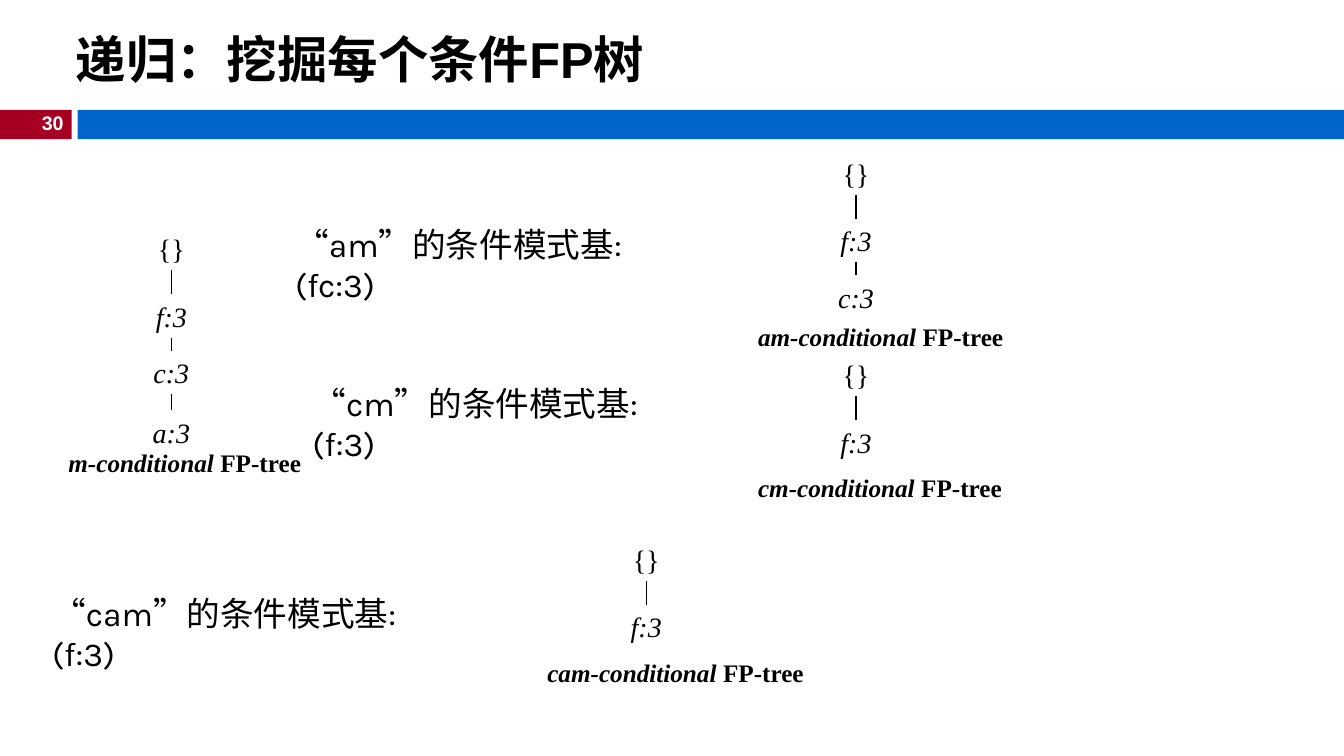
from dataclasses import dataclass

from pptx import Presentation
from pptx.dml.color import RGBColor
from pptx.enum.shapes import MSO_CONNECTOR as CONN, MSO_SHAPE as SHAPE
from pptx.enum.text import MSO_ANCHOR as ANCHOR, PP_ALIGN as ALIGN
from pptx.oxml import parse_xml
from pptx.oxml.ns import nsdecls
from pptx.util import Inches, Pt


@dataclass(frozen=True)
class Theme:
    black: RGBColor = RGBColor(0, 0, 0)
    white: RGBColor = RGBColor(255, 255, 255)
    red: RGBColor = RGBColor(0xA5, 0x00, 0x21)
    blue: RGBColor = RGBColor(0x00, 0x66, 0xCC)
    head_font: str = "Arial"
    tree_font: str = "Times New Roman"
    base_font: str = "Karla"
    title: int = 36
    base: int = 24
    node: int = 20
    caption: int = 18
    number: int = 14


T = Theme()
NODE_H = 0.43
NODE_W = 0.57
NODE_TOPS = (0, 0.67, 1.23, 1.82)


def style(r, font, size, color=T.black, bold=False, italic=False):
    f = r.font
    f.name, f.size, f.bold, f.italic = font, Pt(size), bold, italic
    f.color.rgb = color


def add_text(s, x, y, w, h, text, wrap=False, align=ALIGN.LEFT):
    """Place a one-paragraph text box and return the paragraph."""
    tf = s.shapes.add_textbox(Inches(x), Inches(y), Inches(w), Inches(h)).text_frame
    tf.word_wrap = wrap
    p = tf.paragraphs[0]
    p.text = text
    p.alignment = align
    return p


def add_header(s, title, number):
    # Title
    ph = s.shapes.title
    ph.left, ph.top, ph.width, ph.height = map(Inches, (0.65, 0.11, 9.54, 0.94))
    tf = ph.text_frame
    tf.text = title
    tf.vertical_anchor = ANCHOR.MIDDLE
    p = tf.paragraphs[0]
    p.alignment = ALIGN.LEFT
    style(p.runs[0], T.head_font, T.title, bold=True)

    # Red and blue bars
    for x, w, color in ((0, 0.71, T.red), (0.77, 12.56, T.blue)):
        bar = s.shapes.add_shape(SHAPE.RECTANGLE, Inches(x), Inches(1.09),
                                 Inches(w), Inches(0.29))
        bar.shadow.inherit = False
        bar.fill.solid()
        bar.fill.fore_color.rgb = color
        bar.line.fill.background()

    # Slide number
    p = add_text(s, 0.29, 1.05, 0.44, 0.34, number, align=ALIGN.RIGHT)
    style(p.runs[0], T.head_font, T.number, T.white, bold=True)


def add_branch(s, x, y1, y2):
    line = s.shapes.add_connector(CONN.STRAIGHT, Inches(x), Inches(y1),
                                  Inches(x), Inches(y2))
    line.line.color.rgb = T.black
    line.line.width = Pt(1)
    line._element.spPr.append(parse_xml(f"<a:effectLst {nsdecls('a')}/>"))


def add_tree(s, x, y, nodes, name, caption_box):
    """Draw a single-path FP-tree whose trunk is at x and root top at y."""
    # Nodes, each joined to its parent
    for i, (node, dy) in enumerate(zip(nodes, NODE_TOPS)):
        p = add_text(s, x - NODE_W / 2, y + dy, NODE_W, NODE_H, node,
                     align=ALIGN.CENTER)
        style(p.runs[0], T.tree_font, T.node, italic=i > 0)
        if i:
            add_branch(s, x, y + NODE_TOPS[i - 1] + NODE_H, y + dy)

    # Caption
    dx, dy, w = caption_box
    p = add_text(s, x + dx, y + dy, w, 0.4, f"{name}-conditional ")
    p.add_run().text = "FP-tree"
    for r, italic in zip(p.runs, (True, False)):
        style(r, T.tree_font, T.caption, bold=True, italic=italic)


def add_pattern_base(s, x, y, w, name, pattern):
    p = add_text(s, x, y, w, 0.51, f"“{name}”的条件模式基: ({pattern})", wrap=True)
    style(p.runs[0], T.base_font, T.base)


def main():
    prs = Presentation()
    prs.slide_width, prs.slide_height = Inches(13.33), Inches(7.5)
    s = prs.slides.add_slide(prs.slide_layouts[5])

    add_header(s, "递归：挖掘每个条件FP树", "30")

    # Conditional FP-trees, with caption offset and width
    path = ("{}", "f:3", "c:3", "a:3")
    for x, y, depth, name, caption_box in (
        (1.7, 2.25, 4, "m", (-1.12, 2.14, 2.51)),
        (8.49, 1.5, 3, "am", (-1.07, 1.64, 2.64)),
        (8.49, 3.5, 2, "cm", (-1.07, 1.14, 2.62)),
        (6.41, 5.33, 2, "cam", (-1.08, 1.14, 2.75)),
    ):
        add_tree(s, x, y, path[:depth], name, caption_box)

    # Conditional pattern bases
    for x, y, w, name, pattern in (
        (2.83, 2.17, 4, "am", "fc:3"),
        (3, 3.75, 3.82, "cm", "f:3"),
        (0.42, 5.83, 4, "cam", "f:3"),
    ):
        add_pattern_base(s, x, y, w, name, pattern)

    prs.save("out.pptx")


if __name__ == "__main__":
    main()
